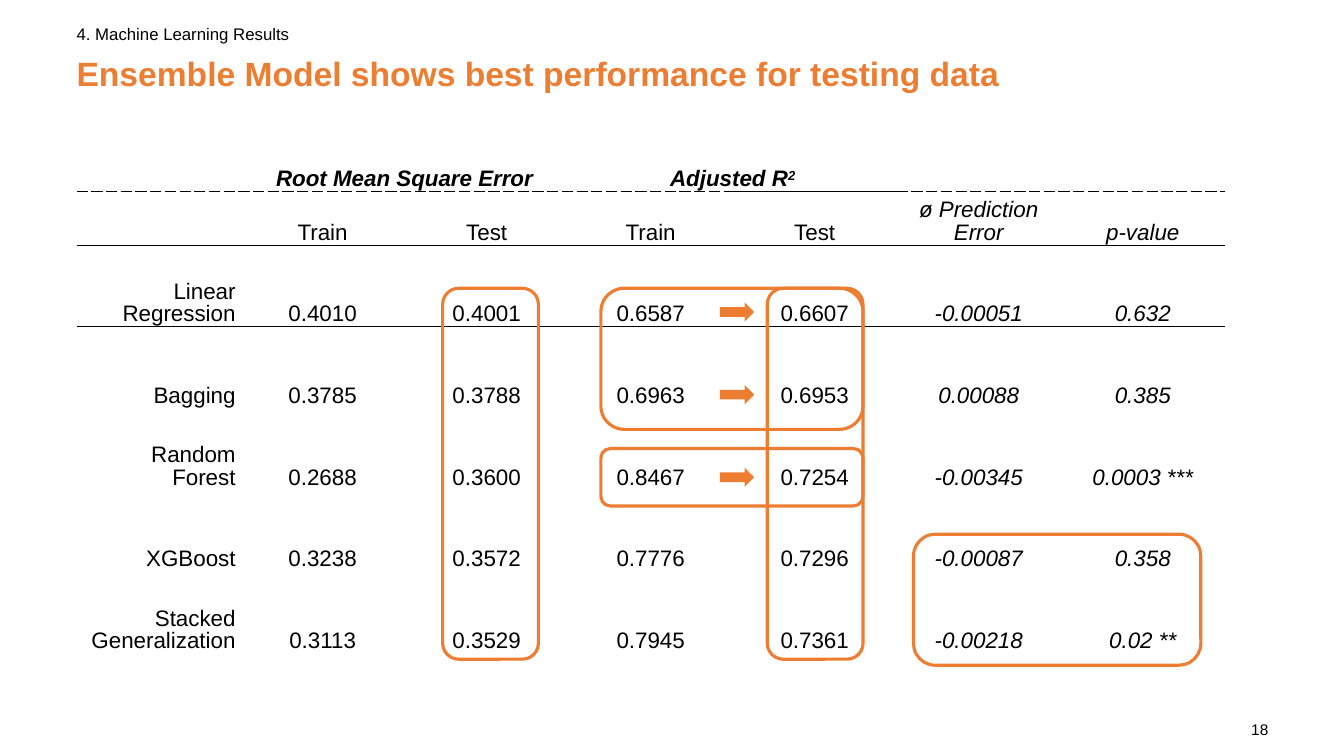
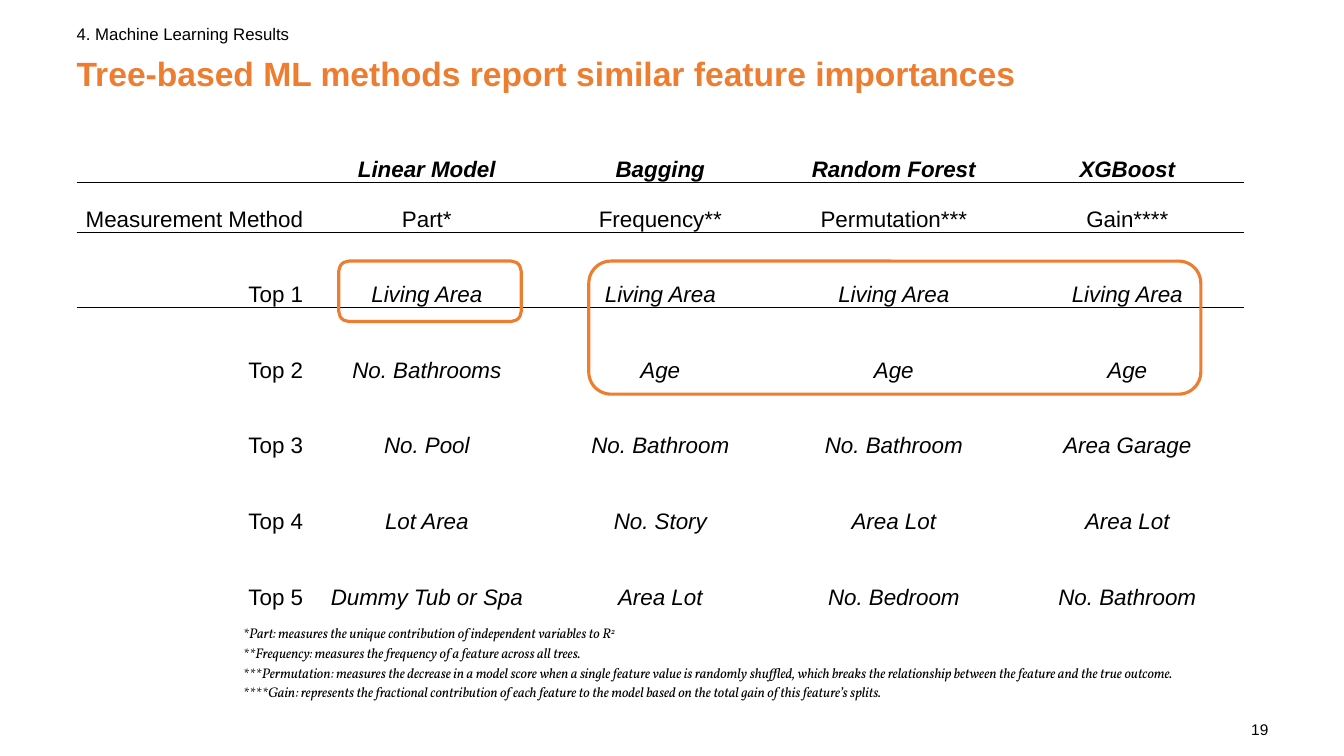
"""Build two slides of machine learning results with highlighted tables."""
import dataclasses
import typing

import lxml.etree
import pptx
import pptx.dml.color
import pptx.enum.shapes
import pptx.enum.text
import pptx.oxml.ns
import pptx.util

Inches = pptx.util.Inches
Pt = pptx.util.Pt
ALIGN = pptx.enum.text.PP_ALIGN
ANCHOR = pptx.enum.text.MSO_ANCHOR
SHAPE = pptx.enum.shapes.MSO_SHAPE
ORANGE = "ED7D31"
BLACK = "000000"
LEFT = 0.76
SECTION = "4. Machine Learning Results"
NO_STYLE = "{2D5ABB26-0587-4C30-8999-92F81FD0307C}"


class Box(typing.NamedTuple):
    left: float
    top: float
    width: float
    height: float

    def emu(self) -> list[int]:
        return [Inches(v) for v in self]


@dataclasses.dataclass(frozen=True)
class TextStyle:
    size: float
    color: str = BLACK
    font: str = "Arial"
    bold: bool = False
    italic: bool = False


@dataclasses.dataclass(frozen=True)
class TableSpec:
    box: Box
    header_heights: tuple[float, float]
    body_height: float
    margin: float
    rows: list[list[str]]
    italic_from: tuple[int, int]
    span_starts: tuple[int, ...] = ()
    dashed_cols: tuple[int, ...] = ()


TITLE = TextStyle(24, ORANGE, bold=True)
SMALL = TextStyle(12)
PAGE = TextStyle(11)
NOTE = TextStyle(10, font="Vollkorn", italic=True)

PERFORMANCE = TableSpec(
    Box(LEFT, 1.6, 11.39, 4.87), (0.29, 0.53), 0.81, 0.05,
    [
        ["", "Root Mean Square Error", "", "Adjusted R^2", "", "", ""],
        ["", "Train", "Test", "Train", "Test", "ø Prediction Error", "p-value"],
        ["Linear Regression", "0.4010", "0.4001", "0.6587", "0.6607", "-0.00051", "0.632"],
        ["Bagging", "0.3785", "0.3788", "0.6963", "0.6953", "0.00088", "0.385"],
        ["Random Forest", "0.2688", "0.3600", "0.8467", "0.7254", "-0.00345", "0.0003 ***"],
        ["XGBoost", "0.3238", "0.3572", "0.7776", "0.7296", "-0.00087", "0.358"],
        ["Stacked Generalization", "0.3113", "0.3529", "0.7945", "0.7361", "-0.00218", "0.02 **"],
    ],
    italic_from=(1, 5), span_starts=(1, 3), dashed_cols=(0, 1, 2, 3, 5, 6),
)

IMPORTANCE = TableSpec(
    Box(LEFT, 1.51, 11.58, 4.5), (0.27, 0.49), 0.75, 0.07,
    [
        ["", "Linear Model", "Bagging", "Random Forest", "XGBoost"],
        ["Measurement Method", "Part*", "Frequency**", "Permutation***", "Gain****"],
        ["Top 1", "Living Area", "Living Area", "Living Area", "Living Area"],
        ["Top 2", "No. Bathrooms", "Age", "Age", "Age"],
        ["Top 3", "No. Pool", "No. Bathroom", "No. Bathroom", "Area Garage"],
        ["Top 4", "Lot Area", "No. Story", "Area Lot", "Area Lot"],
        ["Top 5", "Dummy Tub or Spa", "Area Lot", "No. Bedroom", "No. Bathroom"],
    ],
    italic_from=(2, 1),
)

FOOTNOTES = [
    "*Part: measures the unique contribution of independent variables to R^2",
    "**Frequency: measures the frequency of a feature across all trees.",
    "***Permutation: measures the decrease in a model score when a single feature value is "
    "randomly shuffled, which breaks the relationship between the feature and the true outcome.",
    "****Gain: represents the fractional contribution of each feature to the model based on "
    "the total gain of this feature’s splits.",
]

PERFORMANCE_FRAMES = [
    Box(5.96, 4.45, 2.6, 0.57), Box(5.96, 2.86, 2.6, 1.4), Box(9.06, 5.3, 2.85, 1.3),
    Box(7.61, 2.86, 0.95, 3.68), Box(4.39, 2.86, 0.95, 3.68),
]
IMPORTANCE_FRAMES = [Box(5.84, 2.59, 6.07, 1.32), Box(3.36, 2.59, 1.81, 0.6)]


def rgb(color: str) -> pptx.dml.color.RGBColor:
    return pptx.dml.color.RGBColor.from_string(color)


def set_all(obj: typing.Any, values: dict[str, typing.Any]) -> None:
    for name, value in values.items():
        setattr(obj, name, value)


def write(p: typing.Any, text: str, style: TextStyle, **layout: typing.Any) -> None:
    set_all(p, layout)
    base, _, superscript = text.partition("^")
    for part, offset in ((base, None), (superscript, "30000")):
        if part:
            r = p.add_run()
            r.text = part
            set_all(r.font, {"size": Pt(style.size), "name": style.font,
                             "bold": style.bold, "italic": style.italic})
            r.font.color.rgb = rgb(style.color)
            if offset:
                r._r.get_or_add_rPr().set("baseline", offset)


def add_text(slide: typing.Any, box: Box, margins: tuple[float, float, float, float],
             anchor: typing.Any = ANCHOR.TOP) -> typing.Any:
    tf = slide.shapes.add_textbox(*box.emu()).text_frame
    sides = ("margin_left", "margin_top", "margin_right", "margin_bottom")
    set_all(tf, {"word_wrap": True, "vertical_anchor": anchor,
                 **{side: Inches(m) for side, m in zip(sides, margins)}})
    return tf


def add_border(cell: typing.Any, side: str, dashed: bool) -> None:
    qn = pptx.oxml.ns.qn
    ln = lxml.etree.SubElement(cell._tc.get_or_add_tcPr(), qn(f"a:ln{side}"), w=str(Pt(0.25)))
    fill = lxml.etree.SubElement(ln, qn("a:solidFill"))
    lxml.etree.SubElement(fill, qn("a:srgbClr"), val=BLACK)
    lxml.etree.SubElement(ln, qn("a:prstDash"), val="sysDash" if dashed else "solid")


def fill_cell(cell: typing.Any, spec: TableSpec, row: int, col: int) -> None:
    dashed = col in spec.dashed_cols
    if row in (1, 2):
        add_border(cell, "T", dashed and row == 1)
    if row in (0, 1):
        add_border(cell, "B", dashed and row == 0)
    cell.fill.background()
    set_all(cell, {"margin_left": Inches(spec.margin), "margin_right": Inches(spec.margin),
                   "margin_top": 0, "margin_bottom": 0, "vertical_anchor": ANCHOR.BOTTOM})
    first_row, first_col = spec.italic_from
    italic = row == 0 or (row >= first_row and col >= first_col)
    write(cell.text_frame.paragraphs[0], spec.rows[row][col],
          TextStyle(16, bold=row == 0, italic=italic),
          alignment=ALIGN.CENTER if col else ALIGN.RIGHT, line_spacing=Pt(16))


def add_table(slide: typing.Any, spec: TableSpec) -> None:
    n_rows, n_cols = len(spec.rows), len(spec.rows[0])
    tbl = slide.shapes.add_table(n_rows, n_cols, *spec.box.emu()).table
    set_all(tbl, {"first_row": False, "horz_banding": False})
    tbl._tbl.tblPr.find(pptx.oxml.ns.qn("a:tableStyleId")).text = NO_STYLE
    for column in tbl.columns:
        column.width = Inches(spec.box.width / n_cols)
    heights = [*spec.header_heights, *[spec.body_height] * (n_rows - 2)]
    for row, height in enumerate(heights):
        tbl.rows[row].height = Inches(height)
        for col in range(n_cols):
            fill_cell(tbl.cell(row, col), spec, row, col)
    for start in spec.span_starts:
        tbl.cell(0, start).merge(tbl.cell(0, start + 1))


def add_frame(slide: typing.Any, box: Box) -> None:
    sp = slide.shapes.add_shape(SHAPE.ROUNDED_RECTANGLE, *box.emu())
    sp.shadow.inherit = False
    sp.fill.background()
    sp.line.color.rgb = rgb(ORANGE)
    sp.line.width = Pt(2.25)


def add_arrow(slide: typing.Any, box: Box) -> None:
    sp = slide.shapes.add_shape(SHAPE.RIGHT_ARROW, *box.emu())
    sp.shadow.inherit = False
    sp.fill.solid()
    sp.fill.fore_color.rgb = rgb(ORANGE)
    sp.line.fill.background()


def add_slide(prs: typing.Any, title: str, page: int, spec: TableSpec,
              frames: list[Box]) -> typing.Any:
    slide = prs.slides.add_slide(prs.slide_layouts[6])
    tf = add_text(slide, Box(LEFT, 0.52, 10.47, 1.02), (0, 0.05, 0.1, 0.05))
    write(tf.paragraphs[0], title, TITLE, line_spacing=0.9)
    tf = add_text(slide, Box(LEFT, 0.22, 10.16, 0.24), (0, 0, 0, 0), ANCHOR.MIDDLE)
    write(tf.paragraphs[0], SECTION, SMALL)
    tf = add_text(slide, Box(11.91, 7.1, 0.67, 0.3), (0, 0.05, 0, 0.05))
    write(tf.paragraphs[0], str(page), PAGE, alignment=ALIGN.RIGHT)
    add_table(slide, spec)
    for frame in frames:
        add_frame(slide, frame)
    return slide


def add_footnotes(slide: typing.Any) -> None:
    tf = add_text(slide, Box(2.31, 6.15, 10.26, 0.86), (0.1, 0.05, 0.1, 0.05))
    for i, note in enumerate(FOOTNOTES):
        p = tf.add_paragraph() if i else tf.paragraphs[0]
        write(p, note, NOTE, alignment=ALIGN.JUSTIFY,
              space_before=Pt(1 if i else 0), space_after=Pt(1))


def main() -> None:
    prs = pptx.Presentation()
    set_all(prs, {"slide_width": Inches(13.33), "slide_height": Inches(7.5)})
    slide = add_slide(prs, "Ensemble Model shows best performance for testing data", 18,
                      PERFORMANCE, PERFORMANCE_FRAMES)
    for i in range(3):
        add_arrow(slide, Box(7.14, 3 + 0.82 * i, 0.34, 0.19))
    slide = add_slide(prs, "Tree-based ML methods report similar feature importances", 19,
                      IMPORTANCE, IMPORTANCE_FRAMES)
    add_footnotes(slide)
    prs.save("out.pptx")


if __name__ == "__main__":
    main()
